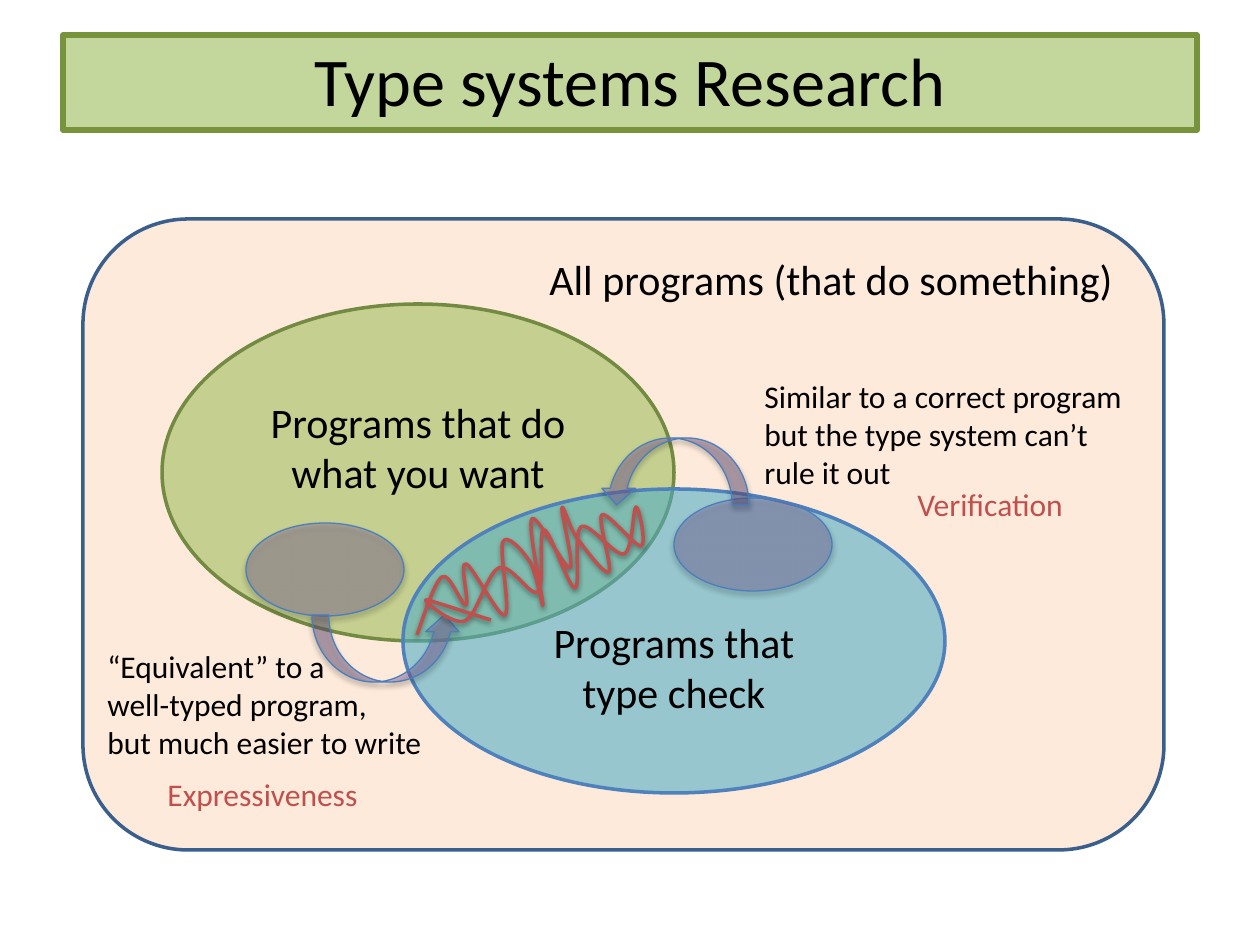
from lxml.etree import SubElement
from pptx import Presentation
from pptx.dml.color import RGBColor
from pptx.enum.shapes import MSO_SHAPE
from pptx.enum.text import MSO_ANCHOR, MSO_AUTO_SIZE, PP_ALIGN
from pptx.oxml.ns import qn
from pptx.util import Inches, Pt

SCALE = Inches(1) / 126
FONT = "Calibri"
BLACK = RGBColor(0x00, 0x00, 0x00)
RED = RGBColor(0xC0, 0x50, 0x4D)
TITLE_FILL = RGBColor(0xC3, 0xD6, 0x9B)
TITLE_LINE = RGBColor(0x77, 0x93, 0x3C)
UNIVERSE_FILL = RGBColor(0xFD, 0xEA, 0xDA)
UNIVERSE_LINE = RGBColor(0x3A, 0x5F, 0x8C)
GREEN = RGBColor(0x9B, 0xBB, 0x59)
GREEN_LINE = RGBColor(0x73, 0x8A, 0x42)
TEAL = RGBColor(0x4B, 0xAC, 0xC6)
BLUE_LINE = RGBColor(0x4F, 0x81, 0xBD)
PURPLE = RGBColor(0x80, 0x64, 0xA2)
PURPLE_LINE = RGBColor(0x4B, 0x7E, 0xBC)

SCRIBBLE = [
    (417, 635), (442, 577), (466, 605), (466, 564), (505, 615),
    (503, 542), (530, 562), (543, 605), (532, 519), (570, 568),
    (562, 508), (577, 538), (609, 572), (602, 515), (641, 546),
    (636, 507), (624, 554), (581, 527), (575, 588), (544, 530),
    (538, 592), (499, 568), (465, 621), (426, 600), (491, 620),
]


def px(length):
    """Turn pixels into EMU."""
    return round(length * SCALE)


def paint(shape, fill, line, width, opacity=100):
    """Set the fill, its opacity and the outline of a shape."""
    shape.fill.solid()
    shape.fill.fore_color.rgb = fill
    if opacity < 100:
        color = shape.element.xpath("./p:spPr/a:solidFill/a:srgbClr")[0]
        SubElement(color, qn("a:alpha"), val=str(opacity * 1000))
    shape.line.color.rgb = line
    shape.line.width = Pt(width)


def cast_shadow(shape, distance, opacity):
    """Give a shape a soft black shadow straight below it."""
    shape.shadow.inherit = False
    effects = shape.element.spPr.find(qn("a:effectLst"))
    outer = SubElement(effects, qn("a:outerShdw"), blurRad=str(Pt(3.1)),
                       dist=str(Pt(distance)), dir="5400000", rotWithShape="0")
    color = SubElement(outer, qn("a:srgbClr"), val=str(BLACK))
    SubElement(color, qn("a:alpha"), val=str(opacity * 1000))


def write(frame, text, size, color=BLACK, align=PP_ALIGN.LEFT):
    """Fill a text frame and format all its runs."""
    frame.text = text
    for para in frame.paragraphs:
        para.alignment = align
        for span in para.runs:
            span.font.name = FONT
            span.font.size = Pt(size)
            span.font.color.rgb = color


def add_title(page, text):
    """Place the title in its framed bar."""
    title = page.shapes.title
    title.left, title.top, title.width, title.height = map(px, (63, 35, 1134, 95))
    paint(title, TITLE_FILL, TITLE_LINE, 3)
    frame = title.text_frame
    write(frame, text, 39, align=PP_ALIGN.CENTER)
    frame.auto_size = MSO_AUTO_SIZE.NONE
    frame.vertical_anchor = MSO_ANCHOR.MIDDLE
    frame.margin_bottom = Inches(0.1)


def add_region(shapes, kind, place, fill, line, opacity=100):
    """Draw one set of programs."""
    region = shapes.add_shape(kind, *map(px, place))
    region.shadow.inherit = False
    paint(region, fill, line, 2, opacity)
    return region


def label_region(region, text, top=6, bottom=6):
    """Write a centred name inside a region."""
    frame = region.text_frame
    frame.word_wrap = True
    frame.vertical_anchor = MSO_ANCHOR.MIDDLE
    frame.margin_top, frame.margin_bottom = px(top), px(bottom)
    write(frame, text, 24, align=PP_ALIGN.CENTER)


def add_marker(shapes, kind, place, opacity):
    """Draw a translucent purple shape with a shadow."""
    marker = shapes.add_shape(kind, *map(px, place))
    paint(marker, PURPLE, PURPLE_LINE, 0.75, opacity)
    cast_shadow(marker, 1.8, 35)
    return marker


def add_label(shapes, place, text, size=18, color=BLACK, wrap=False):
    """Add a text box that fits its text."""
    box = shapes.add_textbox(*map(px, place))
    box.text_frame.word_wrap = wrap
    box.text_frame.auto_size = MSO_AUTO_SIZE.SHAPE_TO_FIT_TEXT
    write(box.text_frame, text, size, color)


def add_explained_arrow(page, arrow_place, text_place, text, flipped=False):
    """Group a curved arrow with its explanation."""
    group = page.shapes.add_group_shape()
    arrow = add_marker(group.shapes, MSO_SHAPE.CURVED_UP_ARROW, arrow_place, 43)
    if flipped:
        arrow.element.spPr.xfrm.set("flipH", "1")
        arrow.element.spPr.xfrm.set("flipV", "1")
    add_label(group.shapes, text_place, text)


def smooth_path(shape):
    """Turn the straight segments of a freeform into a smooth spline."""
    path = shape.element.xpath(".//a:path")[0]
    knots = [(int(pt.get("x")), int(pt.get("y"))) for pt in path.iter(qn("a:pt"))]
    padded = [knots[0], *knots, knots[-1]]
    for segment in path.findall(qn("a:lnTo")):
        path.remove(segment)
    for before, start, end, after in zip(padded, padded[1:], padded[2:], padded[3:]):
        leave = [s + (e - b) / 6 for b, s, e in zip(before, start, end)]
        arrive = [e - (a - s) / 6 for s, e, a in zip(start, end, after)]
        curve = SubElement(path, qn("a:cubicBezTo"))
        for x, y in (leave, arrive, end):
            SubElement(curve, qn("a:pt"), x=str(round(x)), y=str(round(y)))


def add_scribble(page, knots):
    """Draw the red scribble over the overlap."""
    builder = page.shapes.build_freeform(*knots[0], scale=SCALE)
    builder.add_line_segments(knots[1:], close=False)
    scribble = builder.convert_to_shape()
    smooth_path(scribble)
    scribble.fill.background()
    scribble.line.color.rgb = RED
    scribble.line.width = Pt(2)
    cast_shadow(scribble, 1.6, 38)


def main():
    """Build and save the deck."""
    deck = Presentation()
    deck.slide_width, deck.slide_height = px(1260), px(945)
    page = deck.slides.add_slide(deck.slide_layouts[5])
    shapes = page.shapes
    add_title(page, "Type systems Research")

    add_region(shapes, MSO_SHAPE.ROUNDED_RECTANGLE, (83, 219, 1081, 631),
               UNIVERSE_FILL, UNIVERSE_LINE)
    wanted = add_region(shapes, MSO_SHAPE.OVAL, (162, 304, 512, 337),
                        GREEN, GREEN_LINE, 57)
    label_region(wanted, "Programs that do what you want", bottom=57)
    typed = add_region(shapes, MSO_SHAPE.OVAL, (403, 489, 542, 304),
                       TEAL, BLUE_LINE, 57)
    label_region(typed, "Programs that\ntype check", top=57)
    add_label(shapes, (537, 247, 595, 63), "All programs (that do something)", 24)

    add_marker(shapes, MSO_SHAPE.OVAL, (246, 523, 158, 93), 37)
    add_explained_arrow(
        page, (312, 615, 149, 67), (95, 641, 343, 127),
        "“Equivalent” to a\nwell-typed program,\nbut much easier to write")
    add_marker(shapes, MSO_SHAPE.OVAL, (674, 498, 158, 93), 37)
    add_explained_arrow(
        page, (600, 438, 149, 67), (752, 371, 387, 127),
        "Similar to a correct program\nbut the type system can’t\nrule it out", True)

    add_label(shapes, (155, 769, 218, 50), "Expressiveness", color=RED)
    add_label(shapes, (905, 479, 227, 50), "Verification", color=RED, wrap=True)
    add_scribble(page, SCRIBBLE)
    deck.save("out.pptx")


if __name__ == "__main__":
    main()
